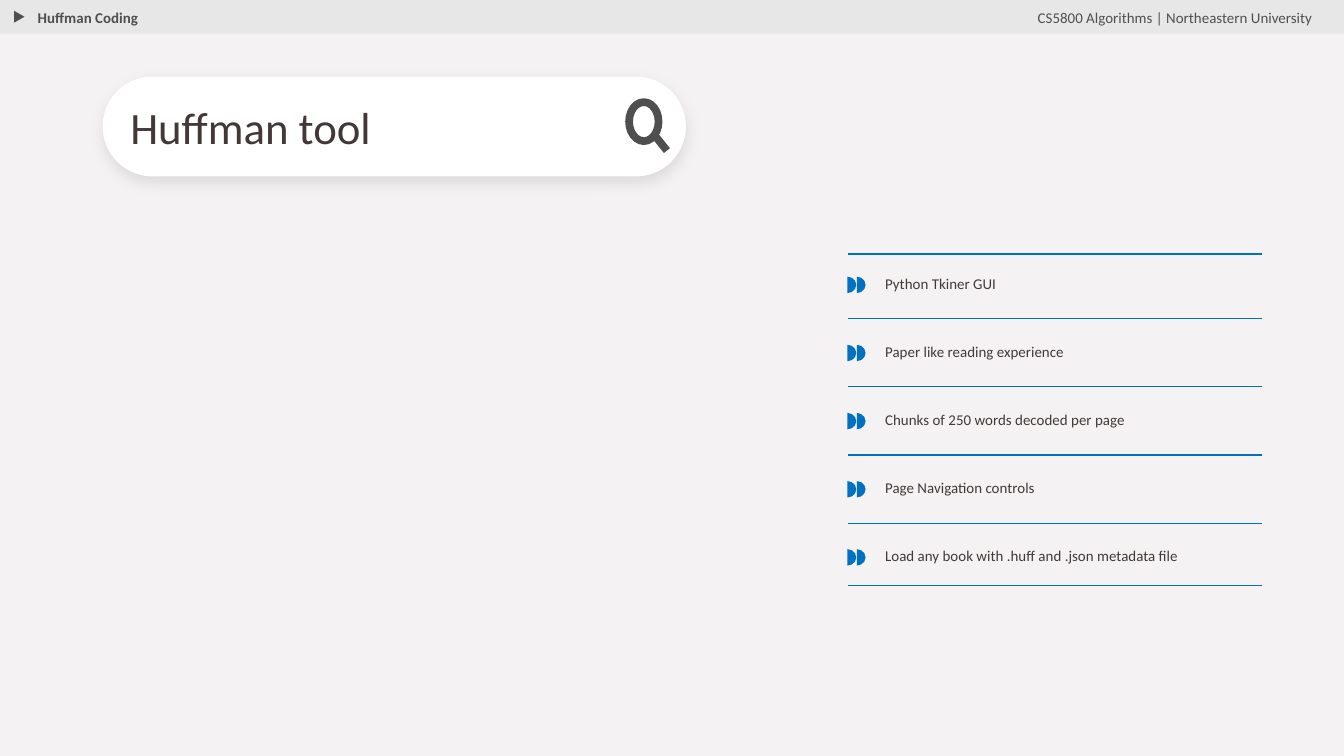
"""Build the Huffman tool slide: header strip, search-bar title and feature list."""
from lxml import etree
from pptx import Presentation
from pptx.dml.color import RGBColor
from pptx.enum import shapes, text
from pptx.oxml import parse_xml
from pptx.oxml.ns import nsdecls, qn
from pptx.util import Pt

PAPER = RGBColor(0xF4, 0xF2, 0xF2)
STRIP = RGBColor(0xE7, 0xE7, 0xE7)
GRAY = RGBColor(0x4F, 0x4F, 0x4F)
INK = RGBColor(0x42, 0x38, 0x38)
BLUE = RGBColor(0x00, 0x70, 0xC0)
WHITE = RGBColor(0xFF, 0xFF, 0xFF)
KIND = shapes.MSO_SHAPE
ANCHOR = text.MSO_ANCHOR


def write(holder, wording, box, size=8, color=INK, bold=False, inset=0,
          spacing=1.0, anchor=ANCHOR.MIDDLE):
    holder.left, holder.top, holder.width, holder.height = map(Pt, box)
    frame = holder.text_frame
    frame.word_wrap = True
    frame.auto_size = text.MSO_AUTO_SIZE.NONE
    frame.vertical_anchor = anchor
    frame.margin_left = frame.margin_right = Pt(inset)
    frame.margin_top = frame.margin_bottom = Pt(inset)
    frame.text = wording
    line = frame.paragraphs[0]
    line.alignment = text.PP_ALIGN.LEFT
    line.line_spacing = spacing
    line.space_before = Pt(0)
    layout = line._p.get_or_add_pPr()
    layout.set("marL", "0")
    layout.set("indent", "0")
    etree.SubElement(layout, qn("a:buNone"))
    font = line.runs[0].font
    font.name, font.size, font.bold = "Calibri", Pt(size), bold
    font.color.rgb = color
    slide.shapes._spTree.append(holder._element)


def draw(kind, box, fill, outline=None, weight=0.75, rotation=0):
    figure = slide.shapes.add_shape(kind, *map(Pt, box))
    figure.shadow.inherit = False
    figure.rotation = rotation
    figure.fill.solid()
    figure.fill.fore_color.rgb = fill
    if outline is None:
        figure.line.fill.background()
    else:
        figure.line.color.rgb = outline
        figure.line.width = Pt(weight)
    return figure


deck = Presentation()
deck.slide_width, deck.slide_height = Pt(720), Pt(405)
slide = deck.slides.add_slide(deck.slide_layouts[3])
slide.background.fill.solid()
slide.background.fill.fore_color.rgb = PAPER
title, topic, course = slide.placeholders

draw(KIND.RECTANGLE, (-0.5, 0, 720.5, 18), STRIP)
draw(KIND.ISOSCELES_TRIANGLE, (6.5, 5.5, 8, 7), GRAY, STRIP, rotation=90)
write(topic, "Huffman Coding", (13, -2.8, 92, 33.8), color=GRAY, bold=True,
      inset=7.2, anchor=ANCHOR.TOP)
write(course, "CS5800 Algorithms | Northeastern University",
      (548.7, -2.8, 167, 33.8), color=GRAY, inset=7.2, anchor=ANCHOR.TOP)

search_bar = draw(KIND.ROUNDED_RECTANGLE, (55, 41, 312.5, 53.5), WHITE)
search_bar.adjustments[0] = 0.5
search_bar._element.spPr.find(qn("a:effectLst")).append(parse_xml(
    f'<a:outerShdw {nsdecls("a")} blurRad="{Pt(8.3)}" dist="{Pt(2.8)}"'
    ' dir="5400000" algn="t" rotWithShape="0">'
    '<a:srgbClr val="000000"><a:alpha val="10000"/></a:srgbClr></a:outerShdw>'))
draw(KIND.OVAL, (337, 54.7, 15.8, 20.9), WHITE, GRAY, 4.15)
write(title, "Huffman tool", (69.8, 43.2, 201, 53.3), size=24, spacing=0.9)

features = ["Python Tkiner GUI", "Paper like reading experience",
            "Chunks of 250 words decoded per page", "Page Navigation controls",
            "Load any book with .huff and .json metadata file"]
pitch = 36.5
for row, feature in enumerate(features):
    middle = 152.6 + row * pitch
    for left in (449.3, 454.3):
        marker = draw(KIND.PIE, (left, middle - 4.4, 9.4, 8.8), BLUE, rotation=180)
        marker.adjustments[0] = 54
        marker.adjustments[1] = 162
    write(slide.shapes.add_textbox(0, 0, 0, 0), feature,
          (468.4, middle - 10, 208, 20), inset=5.8, spacing=0.8)

divider_heights = [136.1, *(170.8 + gap * pitch for gap in range(4)), 313.9]
strokes = [(454.3, y, 676.3, y, BLUE, 0.59) for y in divider_heights]
strokes.append((350.5, 72.2, 357.3, 80.7, GRAY, 4.15))
for *ends, color, weight in strokes:
    stroke = slide.shapes.add_connector(shapes.MSO_CONNECTOR.STRAIGHT, *map(Pt, ends))
    stroke.line.color.rgb = color
    stroke.line.width = Pt(weight)
    etree.SubElement(stroke._element.spPr, qn("a:effectLst"))

deck.save("out.pptx")
